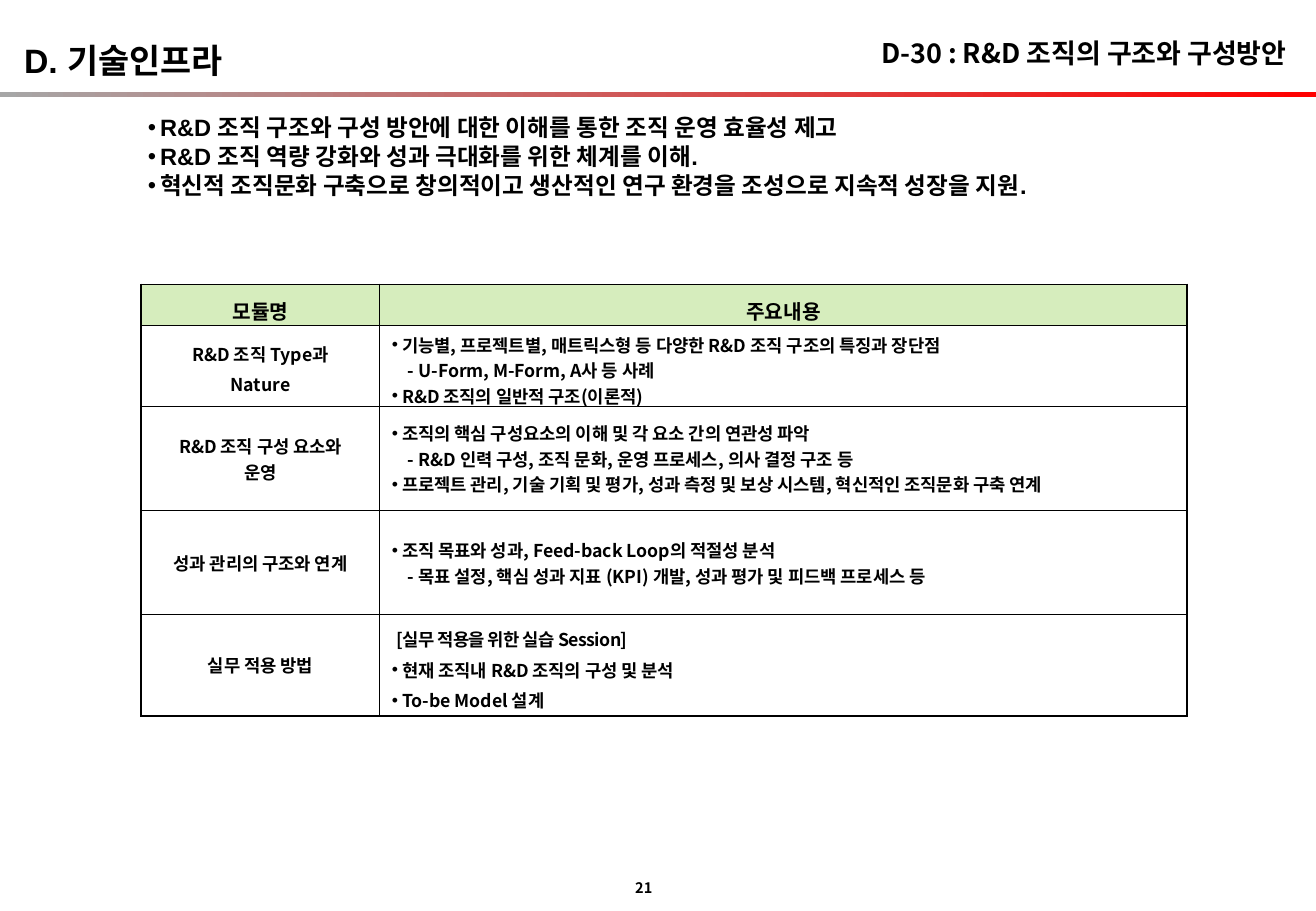
"""Build the R&D organisation module slide with its heading, aims and module table."""
from pptx import Presentation
from pptx.dml.color import RGBColor
from pptx.enum.shapes import MSO_SHAPE
from pptx.enum.text import MSO_ANCHOR, PP_ALIGN
from pptx.oxml import parse_xml
from pptx.oxml.ns import nsdecls
from pptx.util import Pt

BLACK = RGBColor(0x00, 0x00, 0x00)
GRAY = RGBColor(0xA6, 0xA6, 0xA6)
RED = RGBColor(0xFF, 0x00, 0x00)
GREEN = RGBColor(0xD6, 0xED, 0xBD)
KOREAN = "Noto Sans CJK KR"
LATIN = "Arial"


def add_text(p, text, size, font=KOREAN, align=PP_ALIGN.LEFT, spacing=None,
             bullet=False, margin=0, tracking=None):
    p.alignment = align
    p.line_spacing = spacing
    pPr = p._p.get_or_add_pPr()
    if margin:
        pPr.set("marL", str(Pt(margin)))
        pPr.set("indent", str(Pt(-margin if bullet else 0)))
    if bullet:
        pPr.append(parse_xml(f'<a:buFont {nsdecls("a")} typeface="{LATIN}"/>'))
        pPr.append(parse_xml(f'<a:buChar {nsdecls("a")} char="•"/>'))
    r = p.add_run()
    r.text = text
    for name, value in {"name": font, "size": Pt(size), "bold": True}.items():
        setattr(r.font, name, value)
    r.font.color.rgb = BLACK
    rPr = r._r.get_or_add_rPr()
    rPr.append(parse_xml(f'<a:ea {nsdecls("a")} typeface="{KOREAN}"/>'))
    if tracking:
        rPr.set("spc", str(round(tracking * 100)))


def add_box(s, left, top, width, height, anchor=MSO_ANCHOR.TOP, inset=7.2):
    tf = s.shapes.add_textbox(Pt(left), Pt(top), Pt(width), Pt(height)).text_frame
    fmt = {"word_wrap": True, "vertical_anchor": anchor,
           "margin_left": Pt(inset), "margin_right": Pt(inset)}
    for name, value in fmt.items():
        setattr(tf, name, value)
    return tf


prs = Presentation()
prs.slide_width, prs.slide_height = Pt(780), Pt(540)
s = prs.slides.add_slide(prs.slide_layouts[6])

rule = s.shapes.add_shape(MSO_SHAPE.RECTANGLE, Pt(0), Pt(54.7), Pt(780), Pt(2.9))
rule.shadow.inherit = False
rule.line.fill.background()
rule.fill.gradient()
rule.fill.gradient_angle = 0
for stop, color, position in zip(rule.fill.gradient_stops, (GRAY, RED), (0, 1)):
    stop.color.rgb = color
    stop.position = position

tf = add_box(s, 486.7, 18, 283, 26.6, MSO_ANCHOR.MIDDLE)
add_text(tf.paragraphs[0], "D-30 : R&D 조직의 구조와 구성방안", 16, align=PP_ALIGN.RIGHT)
tf = add_box(s, 368.6, 517.7, 26, 17.3, MSO_ANCHOR.MIDDLE, 0)
add_text(tf.paragraphs[0], "21", 8.6, align=PP_ALIGN.CENTER)
tf = add_box(s, 7.2, 18, 142, 31.7)
add_text(tf.paragraphs[0], "D. 기술인프라", 20, LATIN, spacing=Pt(26))

aims = [
    "R&D 조직 구조와 구성 방안에 대한 이해를 통한 조직 운영 효율성 제고",
    "R&D 조직 역량 강화와 성과 극대화를 위한 체계를 이해.",
    "혁신적 조직문화 구축으로 창의적이고 생산적인 연구 환경을 조성으로 지속적 성장을 지원.",
]
tf = add_box(s, 80.6, 63.4, 630.7, 58.3)
for i, aim in enumerate(aims):
    p = tf.add_paragraph() if i else tf.paragraphs[0]
    add_text(p, aim, 14, LATIN, spacing=Pt(17), bullet=True, margin=7.2)

BULLET = {"bullet": True, "margin": 6}
DASH = {"margin": 9.5}
WIDE = {"spacing": 1.2}
modules = [
    (["R&D 조직 Type과", "Nature"], WIDE, [
        ("기능별, 프로젝트별, 매트릭스형 등 다양한 R&D 조직 구조의 특징과 장단점", BULLET),
        ("- U-Form, M-Form, A사 등 사례", DASH),
        ("R&D 조직의 일반적 구조(이론적)", BULLET)]),
    (["R&D 조직 구성 요소와", "운영"], {}, [
        ("조직의 핵심 구성요소의 이해 및 각 요소 간의 연관성 파악", BULLET),
        ("- R&D 인력 구성, 조직 문화, 운영 프로세스, 의사 결정 구조 등", DASH),
        ("프로젝트 관리, 기술 기획 및 평가, 성과 측정 및 보상 시스템, 혁신적인 조직문화 구축 연계",
         BULLET)]),
    (["성과 관리의 구조와 연계"], {}, [
        ("조직 목표와 성과, Feed-back Loop의 적절성 분석", BULLET),
        ("- 목표 설정, 핵심 성과 지표 (KPI) 개발, 성과 평가 및 피드백 프로세스 등", DASH)]),
    (["실무 적용 방법"], {}, [
        ("[실무 적용을 위한 실습 Session]", {**WIDE, "margin": 2.5, "tracking": -0.3}),
        ("현재 조직내 R&D 조직의 구성 및 분석", {**WIDE, **BULLET}),
        ("To-be Model 설계", {**WIDE, **BULLET})]),
]
centered = {"align": PP_ALIGN.CENTER}
rows = [[[(head, {**centered, **WIDE})] for head in ("모듈명", "주요내용")]]
for names, fmt, topics in modules:
    rows.append([[(name, {**centered, **fmt}) for name in names], topics])

widths = (141.3, 478.7)
heights = (24, 48, 61.7, 61.7, 59.8)
table = s.shapes.add_table(len(rows), 2, Pt(83.8), Pt(168.6),
                           Pt(sum(widths)), Pt(sum(heights))).table
table.first_row = table.horz_banding = False
for column, width in zip(table.columns, widths):
    column.width = Pt(width)
for i, (row, height) in enumerate(zip(rows, heights)):
    table.rows[i].height = Pt(height)
    for j, lines in enumerate(row):
        cell = table.cell(i, j)
        cell.vertical_anchor = MSO_ANCHOR.MIDDLE
        if i == 0:
            cell.fill.solid()
            cell.fill.fore_color.rgb = GREEN
        else:
            cell.fill.background()
        outer = {"lnL": j == 0, "lnR": j == 1, "lnT": i == 0, "lnB": i == len(rows) - 1}
        for k, (side, thick) in enumerate(outer.items()):
            cell._tc.get_or_add_tcPr().insert(k, parse_xml(
                f'<a:{side} {nsdecls("a")} w="{Pt(1.25 if thick else 0.75)}"><a:solidFill>'
                f'<a:srgbClr val="{BLACK}"/></a:solidFill></a:{side}>'))
        for n, (text, fmt) in enumerate(lines):
            p = cell.text_frame.add_paragraph() if n else cell.text_frame.paragraphs[0]
            add_text(p, text, 10.5 if i else 12, **fmt)

prs.save("out.pptx")
